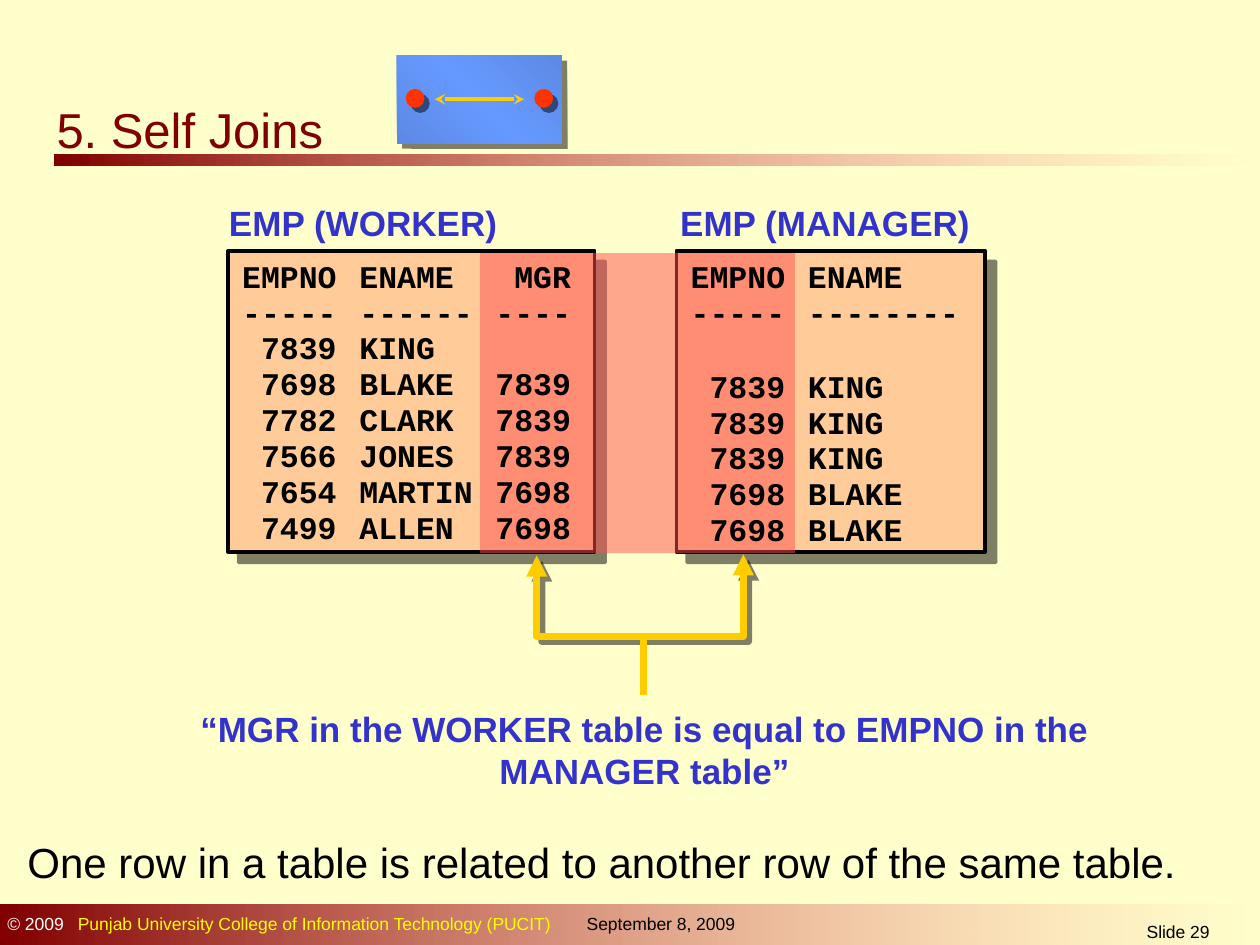
from pptx import Presentation, util as u
from pptx.dml.color import RGBColor
from pptx.enum import shapes, text
from pptx.oxml.ns import qn
from lxml import etree

Pt = u.Pt
RECTANGLE, OVAL = shapes.MSO_SHAPE.RECTANGLE, shapes.MSO_SHAPE.OVAL
CENTER = text.PP_ALIGN.CENTER

# Content
TITLE = "5. Self Joins"
CAPTION = "“MGR in the WORKER table is equal to EMPNO in the MANAGER table”"
SUMMARY = "One row in a table is related to another row of the same table."
COPYRIGHT = "© 2009"
COLLEGE = "Punjab University College of Information Technology (PUCIT)"
DATE, NUMBER = "September 8, 2009", "Slide 29"
WORKER_ROWS = [
    ("EMPNO", "ENAME", " MGR"), ("-----", "------", "----"),
    (" 7839", "KING"), (" 7698", "BLAKE", "7839"),
    (" 7782", "CLARK", "7839"), (" 7566", "JONES", "7839"),
    (" 7654", "MARTIN", "7698"), (" 7499", "ALLEN", "7698"),
]
MANAGER_ROWS = [
    ("EMPNO", "ENAME"), ("-----", "--------"),
    (" 7839", "KING"), (" 7839", "KING"), (" 7839", "KING"),
    (" 7698", "BLAKE"), (" 7698", "BLAKE"),
]
# Heading, heading left, panel left, panel width, rows, tab stops, gap after rules
TABLES = [
    ("EMP (WORKER)", 123.8, 130.3, 209.5, WORKER_ROWS, (67, 144.7), 0),
    ("EMP (MANAGER)", 381.6, 386.6, 176.4, MANAGER_ROWS, (67,), 21.8),
]
PANEL_TOP, PANEL_HEIGHT = 143.3, 172.1

# Formats
MAROON, BLUE, GOLD, BLACK = "800000", "3333CC", "FFCC00", "000000"
FADE = [(0, MAROON, 100), (100, "FF8585", 0)]
SHEEN = [(0, "5C89E5", 100), (50, "6699FF", 100), (100, "5C89E5", 100)]
TITLE_FONT = dict(name="Arial", size=28, color=MAROON)
LABEL_FONT = dict(name="Arial", size=20, color=BLUE, bold=True)
CODE_FONT = dict(name="Courier New", size=18, color=BLACK, bold=True)
SUMMARY_FONT = dict(name="Arial", size=24, color=BLACK)
FOOTER_FONT = dict(name="Arial", size=10, color=BLACK)


def rgb(value):
    return RGBColor.from_string(value)


def child(parent, tag, **attributes):
    element = etree.SubElement(parent, qn("a:" + tag))
    for name, value in attributes.items():
        element.set(name, str(value))
    return element


def add_color(parent, value, opacity):
    color = child(parent, "srgbClr", val=value)
    if opacity < 100:
        child(color, "alpha", val=opacity * 1000)


def add_shadow(shape, distance):
    """Hard half-transparent shadow to the lower right; none if distance is 0."""
    shape.shadow.inherit = False
    if distance:
        effects = shape._element.spPr.find(qn("a:effectLst"))
        shadow = child(effects, "outerShdw", blurRad=0, dist=Pt(distance),
                       dir=45 * 60000, algn="ctr", rotWithShape=0)
        add_color(shadow, BLACK, 50)


def draw_line(shape, width, color=GOLD, arrow=None):
    shape.line.color.rgb = rgb(color)
    shape.line.width = Pt(width)
    if arrow:
        line = shape.line._get_or_add_ln()
        child(line, "round")
        for end in ("headEnd", "tailEnd"):
            child(line, end, type=arrow)


def add_block(slide, kind, box, fill, opacity=100, angle=0, shadow=0, border=0):
    shape = slide.shapes.add_shape(kind, *map(Pt, box))
    if isinstance(fill, str):
        shape.fill.solid()
        shape.fill.fore_color.rgb = rgb(fill)
        if opacity < 100:
            color = shape._element.spPr.find(".//" + qn("a:srgbClr"))
            child(color, "alpha", val=opacity * 1000)
    else:
        shape.fill.gradient()
        shape.fill.gradient_angle = angle
        stops = shape._element.spPr.find(".//" + qn("a:gsLst"))
        stops.clear()
        for position, value, stop_opacity in fill:
            add_color(child(stops, "gs", pos=position * 1000), value, stop_opacity)
    if border:
        draw_line(shape, border, BLACK)
    else:
        shape.line.fill.background()
    add_shadow(shape, shadow)
    return shape


def add_run(paragraph, words, font_format):
    run = paragraph.add_run()
    run.text = words
    for name, value in font_format.items():
        if name == "color":
            run.font.color.rgb = rgb(value)
        else:
            setattr(run.font, name, Pt(value) if name == "size" else value)


def add_tabs(paragraph, stops):
    tabs = child(paragraph._p.get_or_add_pPr(), "tabLst")
    for stop in stops:
        child(tabs, "tab", pos=Pt(stop), algn="l")


def add_text(slide, box, words, font_format, wrap=True, align=None,
             anchor=text.MSO_ANCHOR.TOP):
    frame = slide.shapes.add_textbox(*map(Pt, box)).text_frame
    frame.word_wrap = wrap
    frame.vertical_anchor = anchor
    paragraph = frame.paragraphs[0]
    paragraph.alignment = align
    if words:
        add_run(paragraph, words, font_format)
    return frame


def add_listing(slide, box, rows, stops, gap):
    frame = add_text(slide, box, "", CODE_FONT)
    for index, row in enumerate(rows):
        paragraph = frame.add_paragraph() if index else frame.paragraphs[0]
        paragraph.line_spacing = 0.95
        if index == 2 and gap:
            paragraph.space_before = Pt(gap)
        add_tabs(paragraph, stops)
        add_run(paragraph, "\t".join(row), CODE_FONT)


def add_connector(slide, ends, width, arrow=None):
    connector = slide.shapes.add_connector(shapes.MSO_CONNECTOR.STRAIGHT, *map(Pt, ends))
    draw_line(connector, width, arrow=arrow)
    child(connector._element.spPr, "effectLst")


def main():
    presentation = Presentation()
    presentation.slide_width, presentation.slide_height = Pt(720), Pt(540)
    slide = presentation.slides.add_slide(presentation.slide_layouts[6])
    slide.background.fill.solid()
    slide.background.fill.fore_color.rgb = rgb("FFFFCC")

    # Title rule and footer
    add_block(slide, RECTANGLE, (31, 88.6, 689, 6), FADE)
    add_block(slide, RECTANGLE, (0, 517, 722, 25), FADE)
    footer = add_text(slide, (-2.9, 518.4, 331, 19.4), "", FOOTER_FONT).paragraphs[0]
    add_tabs(footer, [40.3])
    add_run(footer, COPYRIGHT, {**FOOTER_FONT, "color": "FFFFFF"})
    add_run(footer, "\t" + COLLEGE, {**FOOTER_FONT, "color": "FFFF00"})
    add_text(slide, (328.2, 518.4, 111, 19.4), DATE, FOOTER_FONT)
    add_text(slide, (598.3, 522.7, 149.8, 17.3), NUMBER, FOOTER_FONT, align=CENTER)

    # Title
    add_text(slide, (25.2, 51.8, 209.5, 42.5), TITLE, TITLE_FONT,
             anchor=text.MSO_ANCHOR.BOTTOM)

    # Panels, the band joining MGR to EMPNO, then the rows on top
    for heading, heading_left, left, width, *_ in TABLES:
        add_block(slide, RECTANGLE, (left, PANEL_TOP, width, PANEL_HEIGHT), "FFCC99",
                  shadow=8.5, border=2)
        add_text(slide, (heading_left, 111.6, 180, 31), heading, LABEL_FONT, wrap=False)
    add_block(slide, RECTANGLE, (274.3, 144.7, 180, 171.4), "FF5050", opacity=50)
    for _, _, left, width, rows, stops, gap in TABLES:
        add_listing(slide, (left + 1, PANEL_TOP + 1.4, width - 2, PANEL_HEIGHT),
                    rows, stops, gap)

    # Bracket linking the two columns to the caption
    builder = slide.shapes.build_freeform(Pt(306.7), Pt(317.5))
    corners = [(306.7, 363.6), (424.8, 363.6), (424.8, 316.8)]
    builder.add_line_segments([(Pt(x), Pt(y)) for x, y in corners], close=False)
    bracket = builder.convert_to_shape()
    bracket.fill.background()
    draw_line(bracket, 4, arrow="triangle")
    add_shadow(bracket, 4.2)
    add_connector(slide, (367.9, 362.9, 367.9, 397.4), 4)
    add_text(slide, (105.1, 401, 526.3, 55.4), CAPTION, LABEL_FONT, align=CENTER)

    # Join symbol beside the title
    add_block(slide, RECTANGLE, (226.8, 31.7, 94.3, 50.4), SHEEN, angle=45, shadow=4.2)
    for left in (305.3, 231.8):
        add_block(slide, OVAL, (left, 50.8, 10.8, 10.8), "FF3300", shadow=4.2)
    add_connector(slide, (248.4, 56.7, 299.5, 56.7), 2, arrow="stealth")

    add_text(slide, (8.6, 474.5, 691.9, 36), SUMMARY, SUMMARY_FONT)
    presentation.save("out.pptx")


if __name__ == "__main__":
    main()
